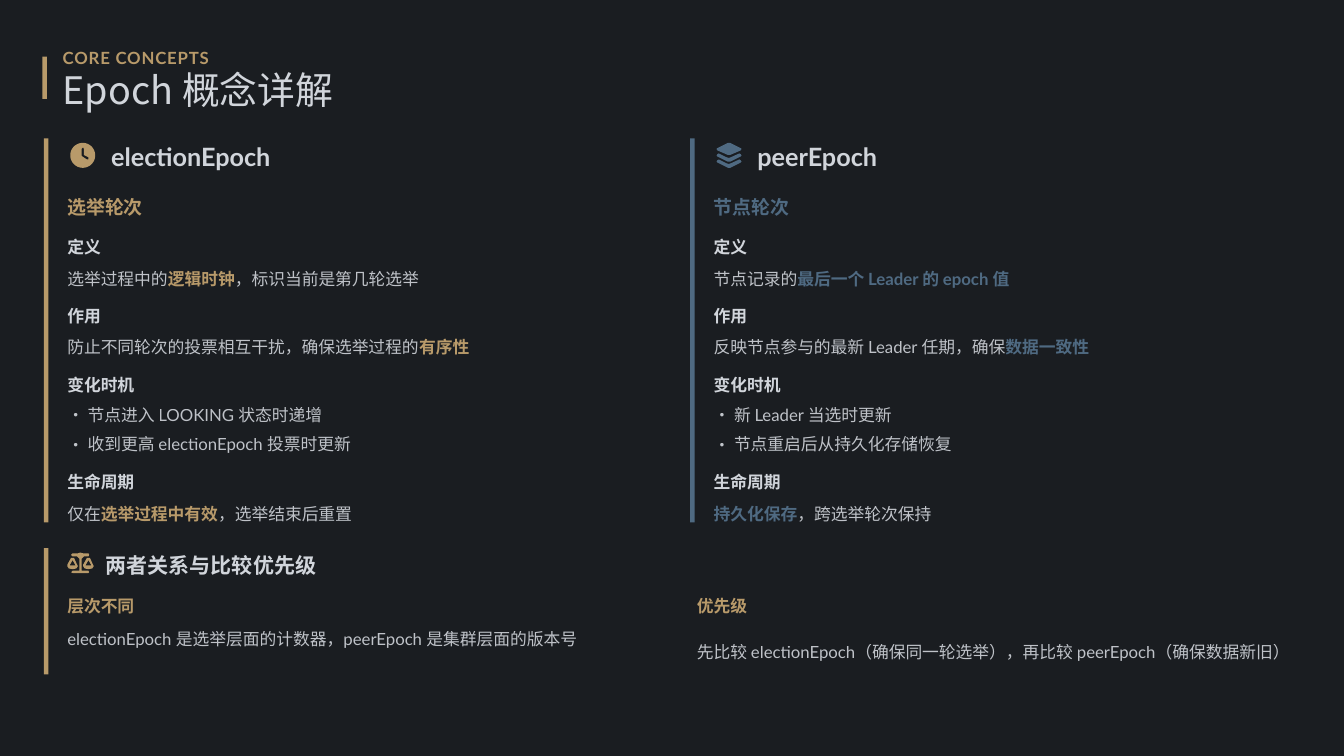
from dataclasses import dataclass
from math import cos, pi, sin

from lxml.etree import SubElement
from pptx import Presentation
from pptx.dml.color import RGBColor
from pptx.enum.shapes import MSO_SHAPE as Shape
from pptx.enum.text import MSO_ANCHOR as Anchor, MSO_AUTO_SIZE as AutoSize, PP_ALIGN as Align
from pptx.oxml.ns import qn
from pptx.util import Inches, Pt

COLORS = {"bg": "1A1D21", "gold": "B89A6A", "blue": "4F6A82", "text": "D1D5DB"}
LATIN, CJK = "Lato", "Noto Sans CJK SC"
Contour = list[tuple[float, float]]


@dataclass
class Topic:
    label: str
    top: float
    lines: list[str]  # **marked** words take the accent colour
    bulleted: bool = False


@dataclass
class Concept:
    left: float
    accent: str
    icon: list[Contour]
    name: str
    subtitle: str
    topics: list[Topic]


@dataclass
class Comparison:
    left: float
    label: str
    text: str
    height: float


def shift(contour: Contour, dx: float, dy: float) -> Contour:
    return [(x + dx, y + dy) for x, y in contour]


# Icon outlines, in inches from the icon's top left corner
DIAL = [(0.165 + 0.165 * cos(pi * i / 24), 0.165 + 0.165 * sin(pi * i / 24)) for i in range(48)]
HAND = [(0.15, 0.08), (0.15, 0.17), (0.16, 0.18), (0.22, 0.22), (0.24, 0.22),
        (0.24, 0.19), (0.18, 0.16), (0.18, 0.08), (0.17, 0.06)]
SHEET = [(0, 0.08), (0.01, 0.07), (0.15, 0), (0.18, 0), (0.32, 0.07), (0.33, 0.08),
         (0.32, 0.1), (0.18, 0.16), (0.15, 0.16), (0.01, 0.1)]
EDGE = [(0.03, 0.14), (0.13, 0.19), (0.16, 0.2), (0.19, 0.19), (0.3, 0.14), (0.32, 0.15),
        (0.33, 0.17), (0.32, 0.18), (0.18, 0.25), (0.15, 0.25), (0.01, 0.18), (0, 0.17), (0.01, 0.15)]
BEAM = [(0.21, 0.01), (0.28, 0.01), (0.29, 0.03), (0.28, 0.05), (0.22, 0.05), (0.19, 0.08),
        (0.19, 0.24), (0.28, 0.24), (0.29, 0.26), (0.28, 0.27), (0.07, 0.27), (0.05, 0.26),
        (0.07, 0.24), (0.16, 0.24), (0.16, 0.08), (0.13, 0.05), (0.07, 0.05), (0.05, 0.03),
        (0.07, 0.01), (0.14, 0.01), (0.17, 0)]
PAN = [(0, 0.18), (0, 0.16), (0.05, 0.07), (0.09, 0.07), (0.13, 0.16), (0.14, 0.18),
       (0.12, 0.21), (0.07, 0.22), (0.02, 0.21)]
PAN_GAP = [(0.03, 0.17), (0.11, 0.17), (0.07, 0.1)]
CLOCK = [DIAL, HAND]
LAYERS = [SHEET, EDGE, shift(EDGE, 0, 0.08)]
SCALES = [BEAM] + [shift(c, dx, 0) for dx in (0, 0.21) for c in (PAN, PAN_GAP)]

CONCEPTS = [
    Concept(0.89, "gold", CLOCK, "electionEpoch", "选举轮次", [
        Topic("定义", 3.06, ["选举过程中的**逻辑时钟**，标识当前是第几轮选举"]),
        Topic("作用", 3.97, ["防止不同轮次的投票相互干扰，确保选举过程的**有序性**"]),
        Topic("变化时机", 4.89, ["节点进入 LOOKING 状态时递增", "收到更高 electionEpoch 投票时更新"], True),
        Topic("生命周期", 6.17, ["仅在**选举过程中有效**，选举结束后重置"]),
    ]),
    Concept(9.44, "blue", LAYERS, "peerEpoch", "节点轮次", [
        Topic("定义", 3.06, ["节点记录的**最后一个 Leader 的 epoch 值**"]),
        Topic("作用", 3.97, ["反映节点参与的最新 Leader 任期，确保**数据一致性**"]),
        Topic("变化时机", 4.89, ["新 Leader 当选时更新", "节点重启后从持久化存储恢复"], True),
        Topic("生命周期", 6.17, ["**持久化保存**，跨选举轮次保持"]),
    ]),
]
COMPARISONS = [
    Comparison(0.89, "层次不同", "electionEpoch 是选举层面的计数器，peerEpoch 是集群层面的版本号", 0.33),
    Comparison(9.22, "优先级", "先比较 electionEpoch（确保同一轮选举），再比较 peerEpoch（确保数据新旧）", 0.67),
]


def fill_flat(s, color: str) -> None:
    s.shadow.inherit = False
    s.fill.solid()
    s.fill.fore_color.rgb = RGBColor.from_string(COLORS[color])
    s.line.fill.background()


def add_bar(left: float, top: float, height: float, color: str) -> None:
    s = slide.shapes.add_shape(Shape.RECTANGLE, Inches(left), Inches(top), Inches(0.06), Inches(height))
    fill_flat(s, color)


def add_icon(contours: list[Contour], left: float, top: float, color: str) -> None:
    placed = [[(Inches(x), Inches(y)) for x, y in shift(c, left, top)] for c in contours]
    builder = slide.shapes.build_freeform(*placed[0][0])
    for i, points in enumerate(placed):
        if i:
            builder.move_to(*points[0])
        builder.add_line_segments(points[1:], close=True)
    fill_flat(builder.convert_to_shape(), color)


def frame_text(tf, spacing: float):
    """Prepare a tight, vertically centred frame and return its paragraph."""
    tf.margin_left = tf.margin_right = tf.margin_top = tf.margin_bottom = 0
    tf.word_wrap = True
    tf.auto_size = AutoSize.NONE
    tf.vertical_anchor = Anchor.MIDDLE
    p = tf.paragraphs[0]
    p.alignment = Align.LEFT
    p.line_spacing = spacing
    return p


def style_run(r, size: float, color: str, bold: bool = False, latin: str = LATIN) -> None:
    r.font.size = Pt(size)
    r.font.bold = bold
    r.font.name = latin
    r.font.color.rgb = RGBColor.from_string(COLORS[color])
    SubElement(r.font._element, qn("a:ea"), typeface=CJK)


def add_box(left: float, top: float, width: float, height: float, spacing: float):
    box = slide.shapes.add_textbox(Inches(left), Inches(top), Inches(width), Inches(height))
    return frame_text(box.text_frame, spacing)


def add_label(text: str, left: float, top: float, width: float, height: float,
              size: float = 16, color: str = "text", spacing: float = 1.3):
    r = add_box(left, top, width, height, spacing).add_run()
    r.text = text
    style_run(r, size, color, bold=True)
    return r


def add_body(text: str, left: float, top: float, width: float, height: float,
             spacing: float = 1.3, accent: str = "gold", bulleted: bool = False) -> None:
    p = add_box(left, top, width, height, spacing)
    if bulleted:
        pPr = p._p.get_or_add_pPr()
        pPr.set("marL", str(Inches(0.27)))
        pPr.set("indent", str(-Inches(0.27)))
        SubElement(pPr, qn("a:buFont"), typeface=CJK)
        SubElement(pPr, qn("a:buChar"), char="•")
    for i, part in enumerate(text.split("**")):
        if not part:
            continue
        r = p.add_run()
        r.text = part
        marked = i % 2 == 1
        style_run(r, 16, accent if marked else "text", bold=marked)
        if not marked:
            SubElement(r.font._element.find(".//" + qn("a:srgbClr")), qn("a:alpha"), val="90000")


prs = Presentation()
prs.slide_width, prs.slide_height = Inches(17.78), Inches(10)
slide = prs.slides.add_slide(prs.slide_layouts[5])
slide.background.fill.solid()
slide.background.fill.fore_color.rgb = RGBColor.from_string(COLORS["bg"])

# Header
add_bar(0.56, 0.75, 0.56, "gold")
kicker = add_label("CORE CONCEPTS", 0.83, 0.56, 3.72, 0.33, color="gold")
kicker.font._element.set("spc", "80")
title = slide.shapes.title
title.left, title.top, title.width, title.height = map(Inches, (0.83, 0.94, 3.86, 0.56))
title.text_frame.text = "Epoch 概念详解"
style_run(frame_text(title.text_frame, 0.9).runs[0], 36, "text", latin=CJK)

# Concept columns
for c in CONCEPTS:
    add_bar(c.left - 0.31, 1.83, 5.08, c.accent)
    add_icon(c.icon, c.left + 0.04, 1.89, c.accent)
    add_label(c.name, c.left + 0.58, 1.83, 2.33, 0.44, 24, spacing=1.1)
    add_label(c.subtitle, c.left, 2.5, 7.9, 0.39, 18, c.accent)
    for t in c.topics:
        add_label(t.label, c.left, t.top, 7.89, 0.33)
        height, spacing = (0.33, 1.3) if t.bulleted else (0.36, 1.4)
        for i, line in enumerate(t.lines, start=1):
            add_body(line, c.left, t.top + 0.39 * i, 7.89, height, spacing, c.accent, t.bulleted)

# Relationship and priority
add_bar(0.58, 7.25, 1.67, "gold")
add_icon(SCALES, 0.89, 7.31, "gold")
add_label("两者关系与比较优先级", 1.4, 7.25, 2.92, 0.39, 20, spacing=1.2)
for m in COMPARISONS:
    add_label(m.label, m.left, 7.81, 8.11, 0.33, color="gold")
    add_body(m.text, m.left, 8.25, 8.11, m.height)

prs.save("out.pptx")
